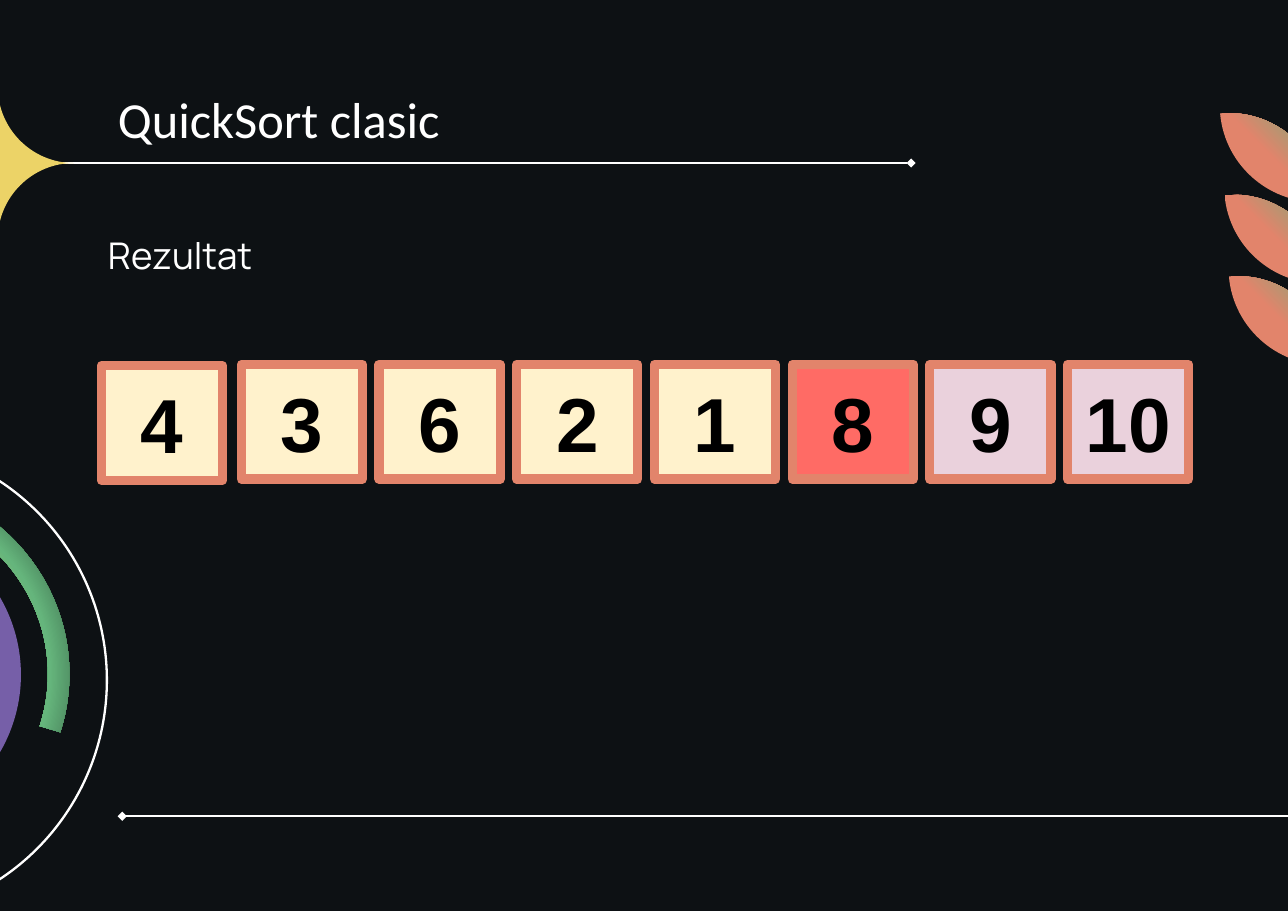
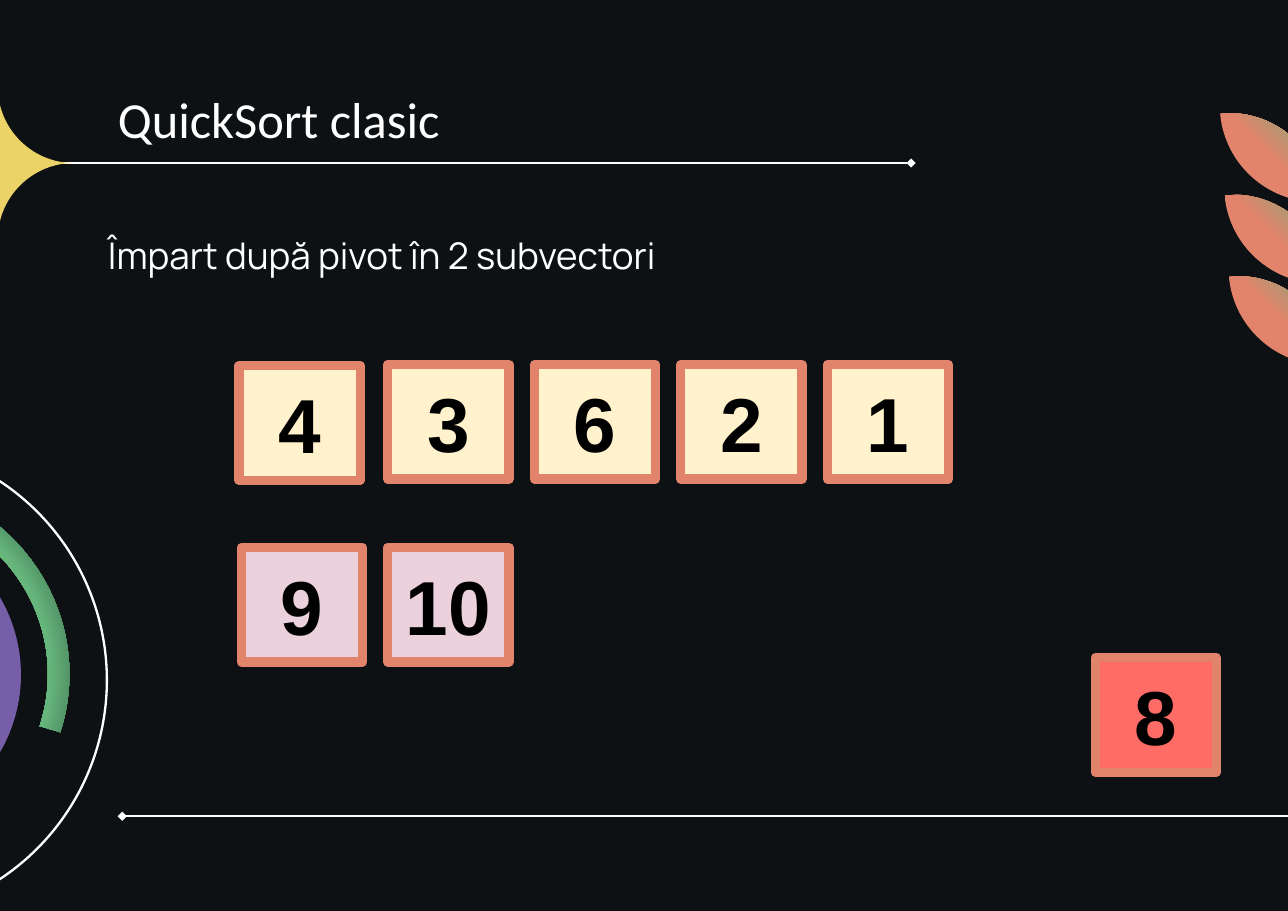
import pptx
import pptx.dml.color
import pptx.enum.shapes
import pptx.enum.text
import pptx.oxml
import pptx.oxml.ns
import pptx.util

WIDTH, HEIGHT = 11.69, 8.27
TILE_WIDTH, TILE_HEIGHT = 1.1, 1.04
TOP_ROW, LOWER_ROW, PIVOT_ROW = 3.31, 4.97, 5.97
FIRST_TILE_SHIFT_X, FIRST_TILE_SHIFT_Y = -0.02, 0.01
INSET = 0.1
CURVE_PULL = 0.55
COLORS = {
    "background": "0D1114",
    "white": "FFFFFF",
    "black": "000000",
    "yellow": "ECD367",
    "purple": "765FA8",
    "green": "65B57C",
    "coral": "E2846B",
    "smaller": "FFF2CC",
    "pivot": "FF6B65",
    "larger": "EAD1DC",
}
ARC_STOPS = [(0, "coral"), (36, "yellow"), (65, "green"), (100, "background")]
LEAF_STOPS = [(0, "green"), (50, "coral"), (100, "coral")]
SHAPES = pptx.enum.shapes.MSO_SHAPE
ALIGN = pptx.enum.text.PP_ALIGN
ANCHOR = pptx.enum.text.MSO_ANCHOR
NAMESPACE = pptx.oxml.ns.nsdecls("a")


def color(name):
    return pptx.dml.color.RGBColor.from_string(COLORS[name])


def inches(*lengths):
    return [pptx.util.Inches(length) for length in lengths]


def set_fill(shape, name):
    shape.fill.solid()
    shape.fill.fore_color.rgb = color(name)


def set_line(shape, name, width):
    shape.line.color.rgb = color(name)
    shape.line.width = pptx.util.Pt(width)


def set_radial_fill(shape, stops, focus):
    shape.fill.background()
    stop_xml = "".join(
        f'<a:gs pos="{position * 1000}"><a:srgbClr val="{COLORS[name]}"/></a:gs>'
        for position, name in stops
    )
    sides = " ".join(f'{side}="{share * 1000}"' for side, share in zip("ltrb", focus))
    gradient = pptx.oxml.parse_xml(
        f'<a:gradFill {NAMESPACE} rotWithShape="0"><a:gsLst>{stop_xml}</a:gsLst>'
        f'<a:path path="circle"><a:fillToRect {sides}/></a:path></a:gradFill>'
    )
    properties = shape.element.spPr
    properties.replace(properties.find(pptx.oxml.ns.qn("a:noFill")), gradient)


def add_preset(slide, preset, left, top, width, height):
    shape = slide.shapes.add_shape(preset, *inches(left, top, width, height))
    shape.shadow.inherit = False
    shape.fill.background()
    shape.line.fill.background()
    return shape


def add_rule(slide, start, end, y):
    connector = slide.shapes.add_connector(
        pptx.enum.shapes.MSO_CONNECTOR.STRAIGHT, *inches(start, y, end, y)
    )
    set_line(connector, "white", 1.5)
    properties = connector.element.spPr
    line = properties.find(pptx.oxml.ns.qn("a:ln"))
    line.append(pptx.oxml.parse_xml(f'<a:tailEnd {NAMESPACE} type="diamond"/>'))
    properties.append(pptx.oxml.parse_xml(f"<a:effectLst {NAMESPACE}/>"))


def curve_xml(start, end, center, origin):
    controls = [
        [tip + CURVE_PULL * (middle - tip) for tip, middle in zip(point, center)]
        for point in (start, end)
    ]
    points = ""
    for point in (*controls, end):
        x, y = inches(point[0] - origin[0], point[1] - origin[1])
        points += f'<a:pt x="{x}" y="{y}"/>'
    return f"<a:cubicBezTo {NAMESPACE}>{points}</a:cubicBezTo>"


def add_curved_outline(slide, tips, centers):
    ends = tips[1:] + tips[:1]
    builder = slide.shapes.build_freeform(*inches(*tips[0]))
    builder.add_line_segments([inches(*end) for end in ends], close=True)
    shape = builder.convert_to_shape()
    origin = [min(values) for values in zip(*tips)]
    segments = shape.element.xpath(".//a:lnTo")
    for segment, start, end, center in zip(segments, tips, ends, centers):
        curve = pptx.oxml.parse_xml(curve_xml(start, end, center, origin))
        segment.getparent().replace(segment, curve)
    shape.shadow.inherit = False
    shape.line.fill.background()
    return shape


def add_star(slide, x, y, radius):
    tips = [(x, y - radius), (x + radius, y), (x, y + radius), (x - radius, y)]
    set_fill(add_curved_outline(slide, tips, [(x, y)] * len(tips)), "yellow")


def add_leaf(slide, left, top, size):
    right, bottom = left + size, top + size
    leaf = add_curved_outline(
        slide, [(right, top), (left, bottom)], [(left, top), (right, bottom)]
    )
    leaf.rotation = 265.1
    set_radial_fill(leaf, LEAF_STOPS, (100, 0, 0, 100))


def draw_decoration(slide):
    add_rule(slide, 0.4, 8.27, 1.48)
    add_star(slide, -0.02, 1.48, 0.69)
    ring = add_preset(slide, SHAPES.OVAL, -3.36, 4.01, 4.33, 4.33)
    set_line(ring, "white", 1.5)
    disc = add_preset(slide, SHAPES.OVAL, -2.6, 4.73, 2.79, 2.79)
    disc.rotation = 180
    set_fill(disc, "purple")
    arc = add_preset(slide, SHAPES.BLOCK_ARC, -3.03, 4.35, 3.66, 3.54)
    for index, value in enumerate((148.98, 10.09, 0.055)):
        arc.adjustments[index] = value
    set_radial_fill(arc, ARC_STOPS, (50, 50, 50, 50))
    for index in range(3):
        add_leaf(slide, 11.11 + 0.04 * index, 0.99 + 0.74 * index, 0.88)
    add_rule(slide, WIDTH, 1.11, 7.41)


def move_to_layout(slide, layout):
    decoration = [shape for shape in slide.shapes if not shape.is_placeholder]
    for number, shape in enumerate(decoration, start=20):
        shape.element.xpath(".//p:cNvPr")[0].set("id", str(number))
        layout.shapes.element.append(shape.element)


def remove_footers(layout):
    kinds = pptx.enum.shapes.PP_PLACEHOLDER
    footers = (kinds.DATE, kinds.FOOTER, kinds.SLIDE_NUMBER)
    for placeholder in list(layout.placeholders):
        if placeholder.placeholder_format.type in footers:
            placeholder.element.getparent().remove(placeholder.element)


def format_text(frame, text, font_name, size, name, alignment, anchor):
    frame.text = text
    frame.word_wrap = True
    frame.auto_size = pptx.enum.text.MSO_AUTO_SIZE.NONE
    frame.vertical_anchor = anchor
    frame.margin_left = frame.margin_right = pptx.util.Inches(INSET)
    frame.margin_top = frame.margin_bottom = pptx.util.Inches(INSET)
    paragraph = frame.paragraphs[0]
    paragraph.alignment = alignment
    paragraph.space_before = pptx.util.Pt(0)
    font = paragraph.runs[0].font
    font.name = font_name
    font.size = pptx.util.Pt(size)
    font.color.rgb = color(name)
    return paragraph


def fill_placeholder(shape, text, box, font_name, size):
    shape.left, shape.top, shape.width, shape.height = inches(*box)
    return format_text(
        shape.text_frame, text, font_name, size, "white", ALIGN.LEFT, ANCHOR.TOP
    )


def add_headings(slide, subtitle):
    fill_placeholder(
        slide.shapes.title, "QuickSort clasic", (0.97, 0.7, 7.22, 0.51), "Calibri", 33
    )
    paragraph = fill_placeholder(
        slide.placeholders[1], subtitle, (0.88, 2.01, 8.94, 0.51), "Manrope", 24
    )
    paragraph.space_after = pptx.util.Pt(12)


def add_tiles(slide, values, kind, left, top, pitch=0):
    for column, value in enumerate(values):
        tile = add_preset(
            slide, SHAPES.RECTANGLE, left + column * pitch, top, TILE_WIDTH, TILE_HEIGHT
        )
        set_fill(tile, kind)
        set_line(tile, "coral", 6)
        paragraph = format_text(
            tile.text_frame, str(value), "Arial", 50, "black", ALIGN.CENTER, ANCHOR.MIDDLE
        )
        paragraph.runs[0].font.bold = True


def add_smaller_tiles(slide, left, pitch):
    add_tiles(
        slide, [4], "smaller", left + FIRST_TILE_SHIFT_X, TOP_ROW + FIRST_TILE_SHIFT_Y
    )
    add_tiles(slide, [3, 6, 2, 1], "smaller", left + pitch, TOP_ROW, pitch)


def add_result_tiles(slide):
    left, pitch = 0.94, 1.25
    add_smaller_tiles(slide, left, pitch)
    add_tiles(slide, [8], "pivot", left + 5 * pitch, TOP_ROW)
    add_tiles(slide, [9, 10], "larger", left + 6 * pitch, TOP_ROW, pitch)


def add_split_tiles(slide):
    left, pitch = 2.19, 1.33
    add_smaller_tiles(slide, left, pitch)
    add_tiles(slide, [8], "pivot", 9.94, PIVOT_ROW)
    add_tiles(slide, [9, 10], "larger", left, LOWER_ROW, pitch)


def main():
    presentation = pptx.Presentation()
    presentation.slide_width, presentation.slide_height = inches(WIDTH, HEIGHT)
    layout = presentation.slide_layouts[0]
    layout.background.fill.solid()
    layout.background.fill.fore_color.rgb = color("background")
    remove_footers(layout)
    result = presentation.slides.add_slide(layout)
    draw_decoration(result)
    move_to_layout(result, layout)
    add_headings(result, "Rezultat")
    add_result_tiles(result)
    split = presentation.slides.add_slide(layout)
    add_headings(split, "Împart după pivot în 2 subvectori")
    add_split_tiles(split)
    presentation.save("out.pptx")


if __name__ == "__main__":
    main()
